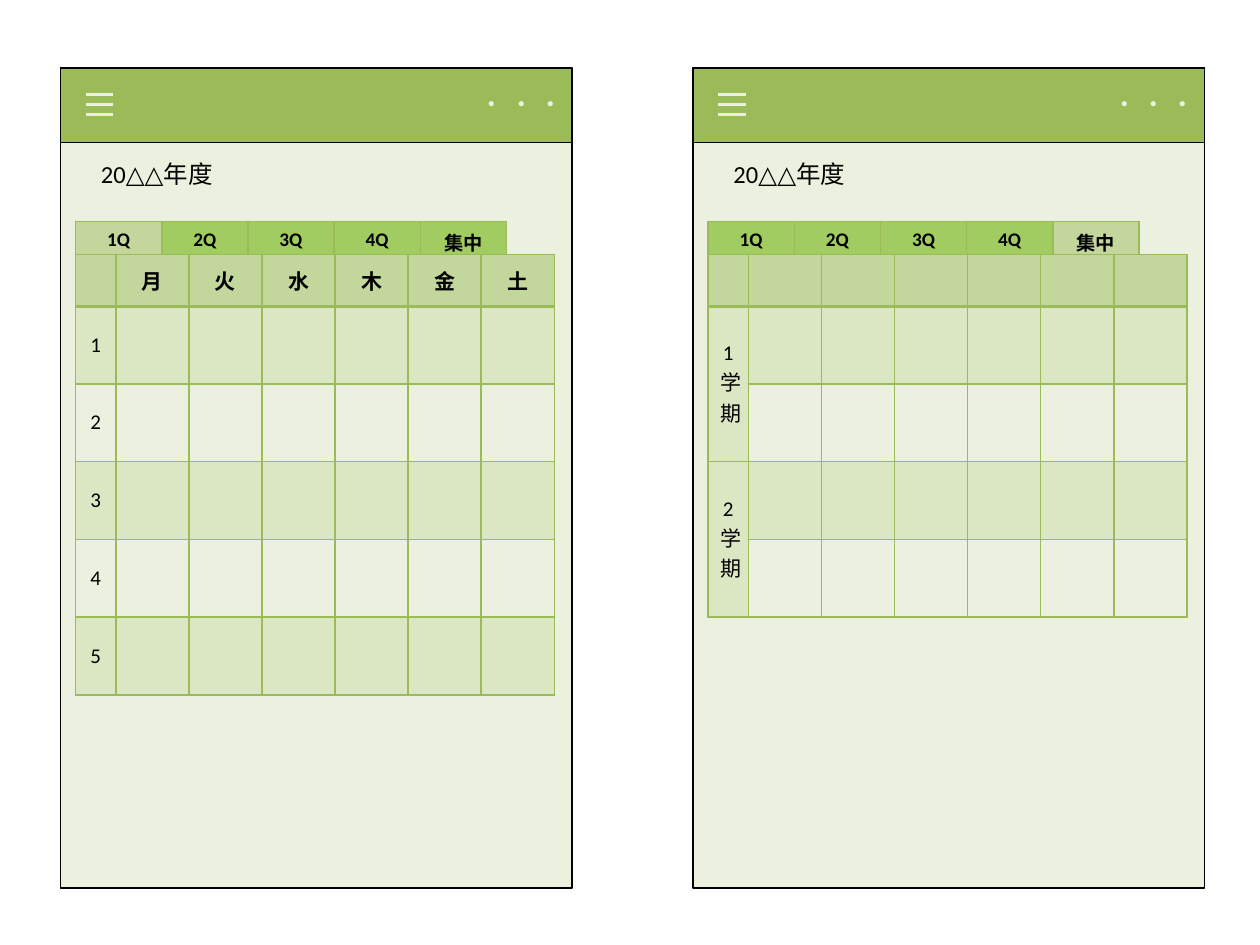
from dataclasses import dataclass

from lxml import etree
from pptx import Presentation
from pptx.dml.color import RGBColor
from pptx.enum.shapes import MSO_CONNECTOR, MSO_SHAPE
from pptx.enum.text import MSO_ANCHOR, MSO_AUTO_SIZE, PP_ALIGN
from pptx.oxml.ns import qn
from pptx.util import Inches, Pt

RECTANGLE, STRAIGHT = MSO_SHAPE.RECTANGLE, MSO_CONNECTOR.STRAIGHT
CENTER, LEFT = PP_ALIGN.CENTER, PP_ALIGN.LEFT
TOP, MIDDLE = MSO_ANCHOR.TOP, MSO_ANCHOR.MIDDLE
FIT_SHAPE = MSO_AUTO_SIZE.SHAPE_TO_FIT_TEXT

COLORS = {
    "screen": "EBF1DE", "accent": "9BBB59", "outline": "000000",
    "text": "000000", "tab": "A1CC61", "active_tab": "C4D69B",
    "header": "C3D69B",
}
FONT = "Calibri"
FORMATS = {
    "tab": {"size": Pt(11), "bold": True},
    "day": {"size": Pt(12), "bold": True},
    "period": {"size": Pt(12), "bold": False},
    "bar": {"size": Pt(14), "bold": False},
}
TABS = ["1Q", "2Q", "3Q", "4Q", "集中"]
TAB_WIDTH = 0.684
LABEL_WIDTH, DAY_WIDTH, DAY_COUNT = 0.32, 0.58, 6
HEADER_HEIGHT, PERIOD_HEIGHT = 0.41, 0.617
BAND_ALPHA = 20


@dataclass
class Phone:
    left: float
    active_tab: int
    days: list[str]
    labels: list[str]
    rows_per_label: int


PHONES = [
    Phone(0.48, 0, list("月火水木金土"), list("12345"), 1),
    Phone(5.5, 4, [""] * DAY_COUNT, ["1学期", "2学期"], 2),
]


def rgb(name: str) -> RGBColor:
    return RGBColor.from_string(COLORS[name])


def write(frame, text: str, style: str, color: str = "text", align=CENTER) -> None:
    paragraph = frame.paragraphs[0]
    paragraph.alignment = align
    run = paragraph.add_run()
    run.text = text
    run.font.color.rgb = rgb(color)
    for attribute, value in {"name": FONT, **FORMATS[style]}.items():
        setattr(run.font, attribute, value)


def add_panel(group, left: float, height: float, fill: str, line_width: float) -> None:
    panel = group.shapes.add_shape(
        RECTANGLE, Inches(left), Inches(0.54), Inches(4.06), Inches(height))
    panel.shadow.inherit = False
    panel.fill.solid()
    panel.fill.fore_color.rgb = rgb(fill)
    panel.line.color.rgb = rgb("outline")
    panel.line.width = Pt(line_width)


def add_menu_line(group, left: float, y: float) -> None:
    stroke = group.shapes.add_connector(
        STRAIGHT, Inches(left), Inches(y), Inches(left + 0.22), Inches(y))
    stroke.line.color.rgb = rgb("screen")
    stroke.line.width = Pt(2)
    etree.SubElement(stroke.element.spPr, qn("a:effectLst"))


def add_label(shapes, left: float, top: float, width: float, height: float):
    frame = shapes.add_textbox(
        Inches(left), Inches(top), Inches(width), Inches(height)).text_frame
    frame.word_wrap = True
    frame.auto_size = FIT_SHAPE
    return frame


def style_cell(cell, fill: str | None, alpha: int = 100,
               top: float = 1, bottom: float = 1) -> None:
    """Draw the borders first, since they precede the fill in the schema."""
    properties = cell._tc.get_or_add_tcPr()
    for side, width in {"L": 1, "R": 1, "T": top, "B": bottom}.items():
        border = etree.SubElement(
            properties, qn(f"a:ln{side}"), w=str(int(Pt(width))))
        solid = etree.SubElement(border, qn("a:solidFill"))
        etree.SubElement(solid, qn("a:srgbClr"), val=COLORS["accent"])
    if fill is None:
        cell.fill.background()
        return
    cell.fill.solid()
    cell.fill.fore_color.rgb = rgb(fill)
    if alpha < 100:
        color = properties.find(qn("a:solidFill")).find(qn("a:srgbClr"))
        etree.SubElement(color, qn("a:alpha"), val=str(alpha * 1000))


def add_grid(shapes, left: float, top: float,
             widths: list[float], heights: list[float]):
    grid = shapes.add_table(
        len(heights), len(widths), Inches(left), Inches(top),
        Inches(sum(widths)), Inches(sum(heights))).table
    grid.first_row = grid.horz_banding = False
    for column, width in zip(grid.columns, widths):
        column.width = Inches(width)
    for row, height in zip(grid.rows, heights):
        row.height = Inches(height)
    return grid


def add_app_frame(shapes, left: float) -> None:
    group = shapes.add_group_shape()
    add_panel(group, left, 6.51, "screen", 1)
    add_panel(group, left, 0.59, "accent", 0.75)
    for y in (0.75, 0.83, 0.91):
        add_menu_line(group, left + 0.2, y)
    more = add_label(group.shapes, left + 3.61, 0.63, 0.44, 0.4)
    more._txBody.bodyPr.set("vert", "eaVert")
    write(more, "・・・", "bar", "screen", LEFT)


def add_tabs(shapes, left: float, active: int) -> None:
    tabs = add_grid(shapes, left, 1.76, [TAB_WIDTH] * len(TABS), [0.21])
    for index, name in enumerate(TABS):
        cell = tabs.cell(0, index)
        style_cell(cell, "active_tab" if index == active else "tab", bottom=2)
        cell.vertical_anchor = TOP
        write(cell.text_frame, name, "tab")


def add_timetable(shapes, left: float, phone: Phone) -> None:
    span = phone.rows_per_label
    period_count = len(phone.labels) * span
    timetable = add_grid(
        shapes, left, 2.02, [LABEL_WIDTH] + [DAY_WIDTH] * DAY_COUNT,
        [HEADER_HEIGHT] + [PERIOD_HEIGHT] * period_count)

    # Header row and alternating bands
    for column in range(DAY_COUNT + 1):
        style_cell(timetable.cell(0, column), "header", bottom=2)
        for row in range(1, period_count + 1):
            banded = row % 2 == 1
            style_cell(timetable.cell(row, column), "accent" if banded else None,
                       BAND_ALPHA, top=2 if row == 1 else 1)
    for column, day in enumerate(phone.days, 1):
        if day:
            cell = timetable.cell(0, column)
            cell.vertical_anchor = MIDDLE
            write(cell.text_frame, day, "day")

    # Row labels, merged and vertical where they span several rows
    for index, label in enumerate(phone.labels):
        first = 1 + index * span
        cell = timetable.cell(first, 0)
        if span > 1:
            cell.merge(timetable.cell(first + span - 1, 0))
            cell._tc.get_or_add_tcPr().set("vert", "eaVert")
        cell.vertical_anchor = MIDDLE
        write(cell.text_frame, label, "period")


def main() -> None:
    deck = Presentation()
    deck.slide_width, deck.slide_height = Inches(10), Inches(7.5)
    shapes = deck.slides.add_slide(deck.slide_layouts[6]).shapes
    for phone in PHONES:
        content_left = phone.left + 0.12
        add_app_frame(shapes, phone.left)
        add_tabs(shapes, content_left, phone.active_tab)
        add_timetable(shapes, content_left, phone)
        year = add_label(shapes, content_left, 1.21, 1.29, 0.34)
        write(year, "20△△年度", "bar")
    deck.save("out.pptx")


main()
